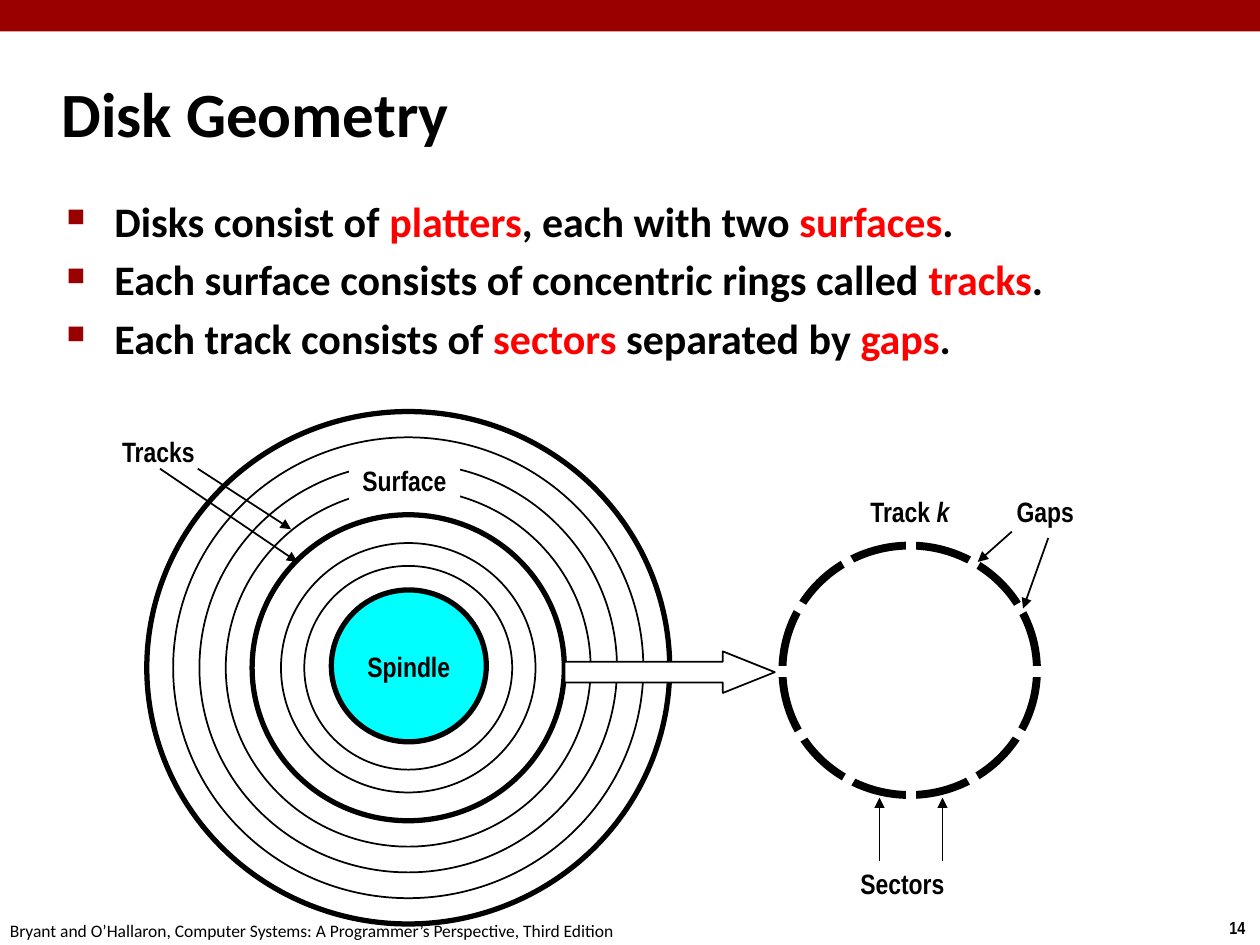
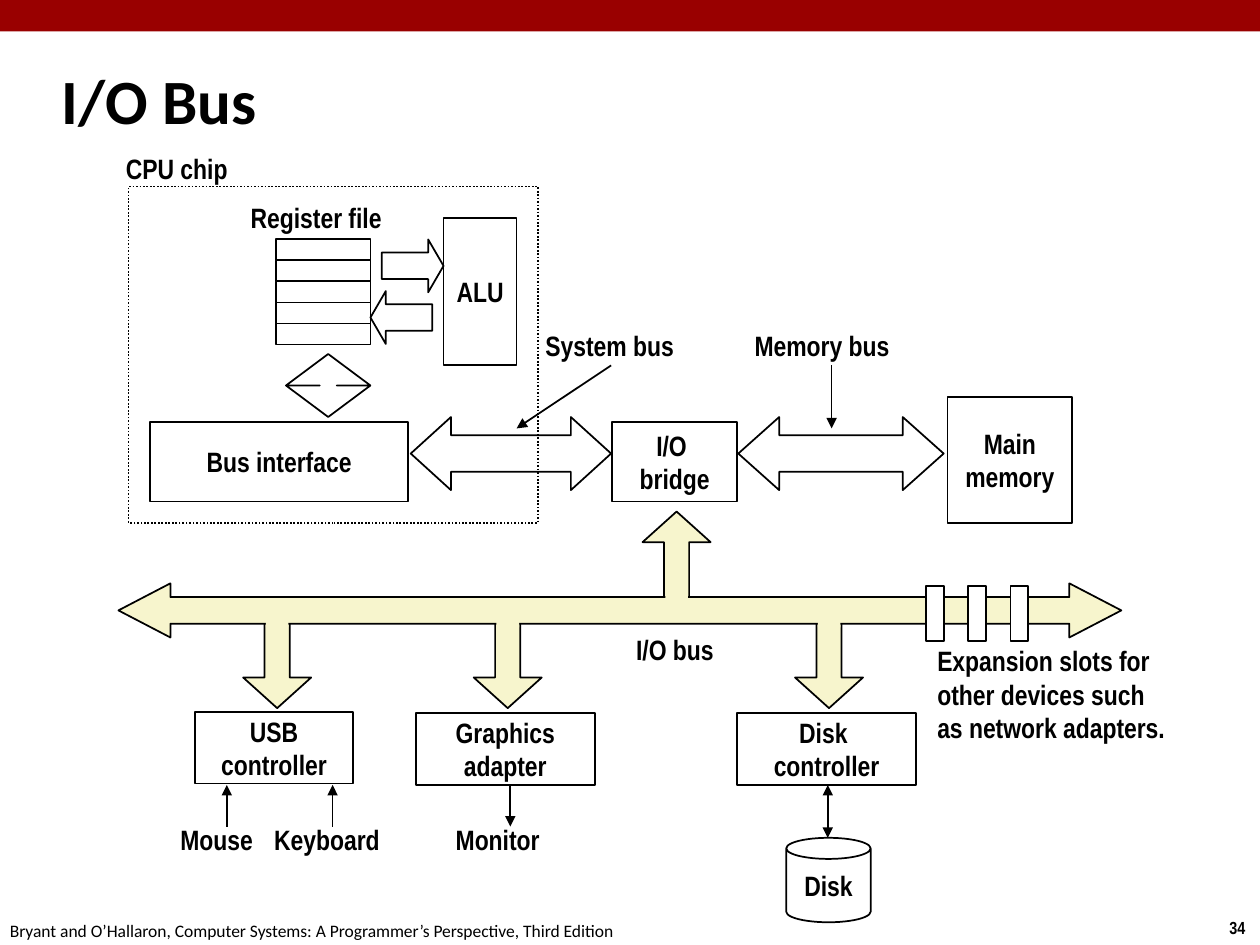
from dataclasses import dataclass
from math import cos, pi, sin
from typing import Optional

from lxml.etree import SubElement
from pptx import Presentation
from pptx.dml.color import RGBColor
from pptx.enum.dml import MSO_LINE as Dash
from pptx.enum.shapes import MSO_CONNECTOR as Conn, MSO_SHAPE as Shp
from pptx.enum.text import MSO_ANCHOR as Anchor, MSO_AUTO_SIZE as Fit, PP_ALIGN as Align
from pptx.oxml.ns import qn
from pptx.util import Inches, Pt

BLACK, WHITE, CRIMSON, RED = "000000", "FFFFFF", "990000", "FF0000"
CYAN, CREAM = "00FFFF", "F7F5CD"
HEAD_FONT, LABEL_FONT = "Calibri", "Arial Narrow"
COLS, ROWS = 100, 75
FOOTER = "Bryant and O’Hallaron, Computer Systems: A Programmer’s Perspective, Third Edition"

prs = Presentation()
prs.slide_width, prs.slide_height = Inches(10), Inches(7.5)


@dataclass
class Box:
    """A preset shape on the grid."""
    col: float
    row: float
    cols: float
    rows: float
    text: str = ""
    kind: Shp = Shp.RECTANGLE
    fill: Optional[str] = None
    line: float = 1
    adj: tuple[float, ...] = ()
    dash: Optional[Dash] = None


@dataclass
class Label:
    """A line of free text on the grid."""
    col: float
    row: float
    cols: float
    text: str
    align: Align = Align.LEFT


@dataclass
class Link:
    """A straight line between two grid points."""
    col: float
    row: float
    to_col: float
    to_row: float
    color: str = BLACK
    width: float = 1
    ends: tuple[str, ...] = ("tailEnd",)


def rgb(value: str) -> RGBColor:
    """Turn a hex string into a colour."""
    return RGBColor.from_string(value)


def x(col: float) -> int:
    """Turn columns into a length."""
    return round(prs.slide_width * col / COLS)


def y(row: float) -> int:
    """Turn rows into a length."""
    return round(prs.slide_height * row / ROWS)


def write(tf, text: str, *, size: float = 16, font: str = LABEL_FONT, bold: bool = True,
          align: Align = Align.LEFT, accent: str = BLACK, italic: bool = False,
          wrap: bool = False, anchor: Anchor = Anchor.TOP) -> None:
    """Fill a frame line by line, giving words between asterisks the accent format."""
    tf.word_wrap, tf.vertical_anchor = wrap, anchor
    for i, line in enumerate(text.split("\n")):
        p = tf.paragraphs[0] if i == 0 else tf.add_paragraph()
        p.alignment = align
        for j, part in enumerate(line.split("*")):
            r = p.add_run()
            r.text = part
            r.font.size, r.font.name, r.font.bold = Pt(size), font, bold
            r.font.italic = italic and j % 2 == 1
            r.font.color.rgb = rgb(accent if j % 2 else BLACK)


def indent(p, inches: float) -> None:
    """Give a paragraph a hanging indent."""
    ppr = p._p.get_or_add_pPr()
    ppr.set("marL", str(Inches(inches)))
    ppr.set("indent", str(-Inches(inches)))


def bullet(p) -> None:
    """Give a paragraph a small square bullet and space above."""
    indent(p, 0.38)
    ppr = p._p.get_or_add_pPr()
    SubElement(SubElement(ppr, qn("a:spcBef")), qn("a:spcPct"), val="20000")
    SubElement(SubElement(ppr, qn("a:buClr")), qn("a:srgbClr"), val=CRIMSON)
    SubElement(ppr, qn("a:buSzPct"), val="60000")
    SubElement(ppr, qn("a:buChar"), char="■")


def frame(s, col: float, row: float, cols: float, rows: float):
    """Add a text box and return its frame."""
    return s.shapes.add_textbox(x(col), y(row), x(cols), y(rows)).text_frame


def add_box(s, b: Box) -> None:
    """Draw a preset shape."""
    sp = s.shapes.add_shape(b.kind, x(b.col), y(b.row), x(b.cols), y(b.rows))
    sp.shadow.inherit = False
    for i, value in enumerate(b.adj):
        sp.adjustments[i] = value
    if b.fill:
        sp.fill.solid()
        sp.fill.fore_color.rgb = rgb(b.fill)
    else:
        sp.fill.background()
    if b.line:
        sp.line.color.rgb, sp.line.width = rgb(BLACK), Pt(b.line)
        if b.dash:
            sp.line.dash_style = b.dash
    else:
        sp.line.fill.background()
    if b.text:
        write(sp.text_frame, b.text, align=Align.CENTER, anchor=Anchor.MIDDLE)


def add_label(s, t: Label) -> None:
    """Draw free text."""
    tf = frame(s, t.col, t.row, t.cols, 3.7 + 2.65 * t.text.count("\n"))
    write(tf, t.text, align=t.align, italic=True)
    tf.auto_size = Fit.SHAPE_TO_FIT_TEXT


def add_link(s, k: Link) -> None:
    """Draw a line with triangles at the named ends."""
    c = s.shapes.add_connector(Conn.STRAIGHT, x(k.col), y(k.row), x(k.to_col), y(k.to_row))
    c.line.color.rgb, c.line.width = rgb(k.color), Pt(k.width)
    for end in k.ends:
        SubElement(c.line._get_or_add_ln(), qn(f"a:{end}"), type="triangle")
    SubElement(c._element.spPr, qn("a:effectLst"))


def draw(s, *items) -> None:
    """Draw items from back to front."""
    painters = {Box: add_box, Label: add_label, Link: add_link}
    for item in items:
        painters[type(item)](s, item)


def oval(col: float, row: float, size: float, **kw) -> Box:
    """Make a slightly flat ellipse about a centre."""
    rows = size * 0.98
    return Box(col - size / 2, row - rows / 2, size, rows, kind=Shp.OVAL, **kw)


def new_slide(title: str, number: int, row: float):
    """Add a slide with its band, footer, number and title."""
    s = prs.slides.add_slide(prs.slide_layouts[6])
    draw(s, Box(0, 0, COLS, 2.5, fill=CRIMSON, line=0))
    write(frame(s, 96.6, 72.3, 3.4, 2.7), str(number), size=10)
    write(frame(s, -0.2, 72.5, 50.8, 2.7), FOOTER, size=10, font=HEAD_FONT, bold=False)
    tf = frame(s, 3.9, row, 83, 8.3)
    write(tf, title, size=36, font=HEAD_FONT, wrap=True, anchor=Anchor.MIDDLE)
    indent(tf.paragraphs[0], 0.13)
    return s


def disk_geometry() -> None:
    """Build the slide on platters, tracks and sectors."""
    s = new_slide("Disk Geometry", 14, 4.8)
    tf = frame(s, 4.3, 15, 86.4, 54.4)
    write(tf, "Disks consist of *platters*, each with two *surfaces*.\n"
              "Each surface consists of concentric rings called *tracks*.\n"
              "Each track consists of *sectors* separated by *gaps*.",
          size=24, font=HEAD_FONT, accent=RED, wrap=True)
    for p in tf.paragraphs:
        bullet(p)

    outer, step = 41.5, 4.18
    rings = [outer - step * i for i in range(5)] + [20.2, 16.5]
    draw(s, *(oval(32.4, 53, size, line=3 if i in (0, 4) else 1)
              for i, size in enumerate(rings)))
    draw(s,
         oval(32.45, 52.85, 12.3, text="Spindle", fill=CYAN, line=3),
         Box(27.7, 36.3, 8.8, 3.7, "Surface", fill=WHITE, line=0),
         Link(12.7, 37.2, 23.6, 44.6),
         Link(15.7, 37.2, 23.1, 42),
         Label(8.7, 34, 7.9, "Tracks"))

    col, row, reach, sectors = 72.3, 53.3, 11.2, 12
    angles = [2 * pi * i / sectors for i in range(sectors)]
    draw(s, oval(col - 0.1, row - 0.1, 20.2, line=4.5), Label(68.1, 38.8, 8.7, "Track *k*"))
    draw(s, *(Link(col, row, col + reach * cos(a), row + reach * sin(a), WHITE, 6, ())
              for a in angles))
    draw(s,
         Label(67.3, 68.3, 8.8, "Sectors"),
         *(Link(c, 68.3, c, 63.3) for c in (69.8, 74.8)),
         Box(44.8, 51.7, 16.7, 3.3, kind=Shp.RIGHT_ARROW, fill=WHITE, adj=(0.5, 1.25)),
         Label(79.7, 38.8, 6.6, "Gaps"),
         Link(80.3, 42.2, 77.6, 44.6),
         Link(83.2, 42.7, 81.2, 48.3))


def io_bus() -> None:
    """Build the slide on the buses between CPU, memory and devices."""
    s = new_slide("I/O Bus", 34, 3.7)
    both, mid = ("headEnd", "tailEnd"), Align.CENTER
    draw(s,
         Box(75.2, 31.5, 9.9, 10, "Main\nmemory"),
         Box(58.6, 33.1, 16.3, 5.8, kind=Shp.LEFT_RIGHT_ARROW, adj=(0.5, 0.56)),
         Box(48.6, 33.5, 9.9, 6.3, "I/O \nbridge"),
         Box(32.6, 33.1, 15.9, 5.8, kind=Shp.LEFT_RIGHT_ARROW, adj=(0.5, 0.55)),
         Box(11.9, 33.5, 20.5, 6.3, "Bus interface"),
         *(Box(21.9, 19 + 1.67 * i, 7.5, 1.67) for i in range(5)),
         Box(30.3, 19, 4.9, 4.2, kind=Shp.RIGHT_ARROW, adj=(0.5, 0.29)),
         Box(29.4, 23.1, 4.9, 4.2, kind=Shp.LEFT_ARROW, adj=(0.5, 0.29)),
         Box(35.2, 17.3, 5.8, 11.7, "ALU"),
         Label(18.8, 15.4, 12.6, "Register file", mid),
         Box(22.7, 28.1, 6.7, 5, kind=Shp.UP_DOWN_ARROW, adj=(0.5, 0.2)),
         Box(10.2, 14.8, 32.5, 26.7, dash=Dash.ROUND_DOT),
         Label(9, 11.5, 11.9, "CPU chip"),
         Label(42.3, 25.6, 12.3, "System bus"),
         Link(48.5, 29, 41, 34),
         Label(58.9, 25.6, 12.9, "Memory bus"),
         Link(66, 29, 66, 34))

    up, drops, shaft = 53.7, (22, 40.3, 65.8), 1.8
    branch = dict(cols=5.4, rows=7.5, fill=CREAM, adj=(0.37, 0.45))
    draw(s,
         Box(up - 2.7, 40.6, kind=Shp.UP_ARROW, **branch),
         *(Box(c - 2.7, 48.7, kind=Shp.DOWN_ARROW, **branch) for c in drops),
         Box(15.5, 56.5, 12.5, 5.7, "USB\ncontroller"),
         Box(33, 56.6, 14.2, 5.7, "Graphics\nadapter"),
         Box(58.5, 56.6, 14.2, 5.7, "Disk \ncontroller"),
         *(Link(c, 65.6, c, 62.3) for c in (18, 26.4)),
         Label(13.3, 64.8, 7.8, "Mouse", mid),
         Label(20.7, 64.8, 10.5, "Keyboard", mid),
         Link(40.5, 62.3, 40.5, 65.6),
         Label(35.1, 64.8, 8.8, "Monitor", mid),
         Link(65.7, 62.3, 65.7, 66.5, ends=both),
         Box(62.4, 66.5, 6.7, 6.7, "Disk", kind=Shp.CAN, adj=(0.25,)),
         Box(9.4, 46.3, 79.6, 4.3, kind=Shp.LEFT_RIGHT_ARROW, fill=CREAM, adj=(0.49, 0.96)),
         *(Box(c - shaft / 2, r, shaft, 1.7, fill=CREAM, line=0)
           for c, r in [(up, 47.3)] + [(c, 48.1) for c in drops]),
         Label(49.5, 49.7, 9.6, "I/O bus"),
         *(Box(73.5 + 3.35 * i, 46.5, 1.4, 4.4, fill=WHITE) for i in range(3)),
         Label(73.4, 50.6, 24.2, "Expansion slots for\nother devices such\nas network adapters."))


disk_geometry()
io_bus()
prs.save("out.pptx")
